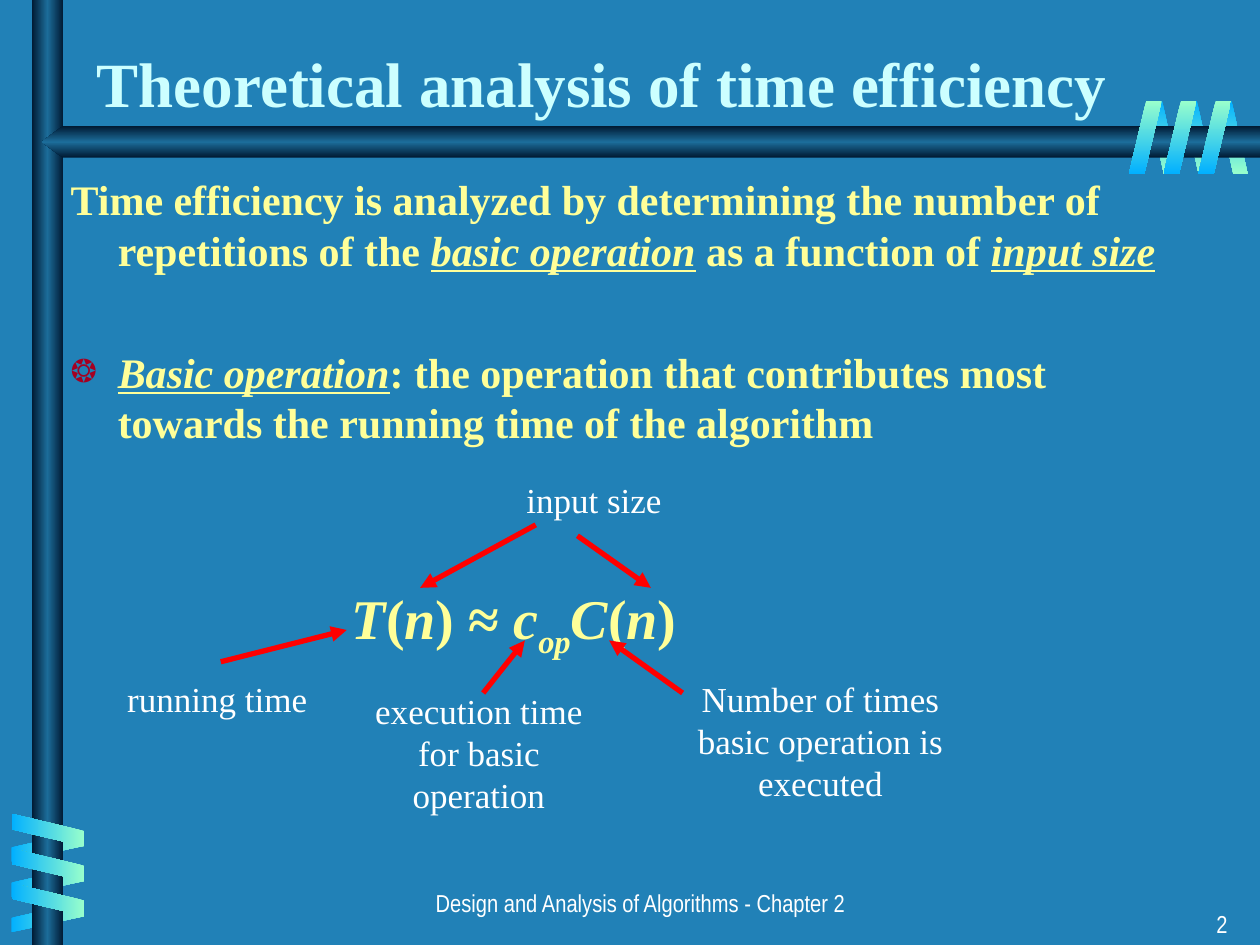
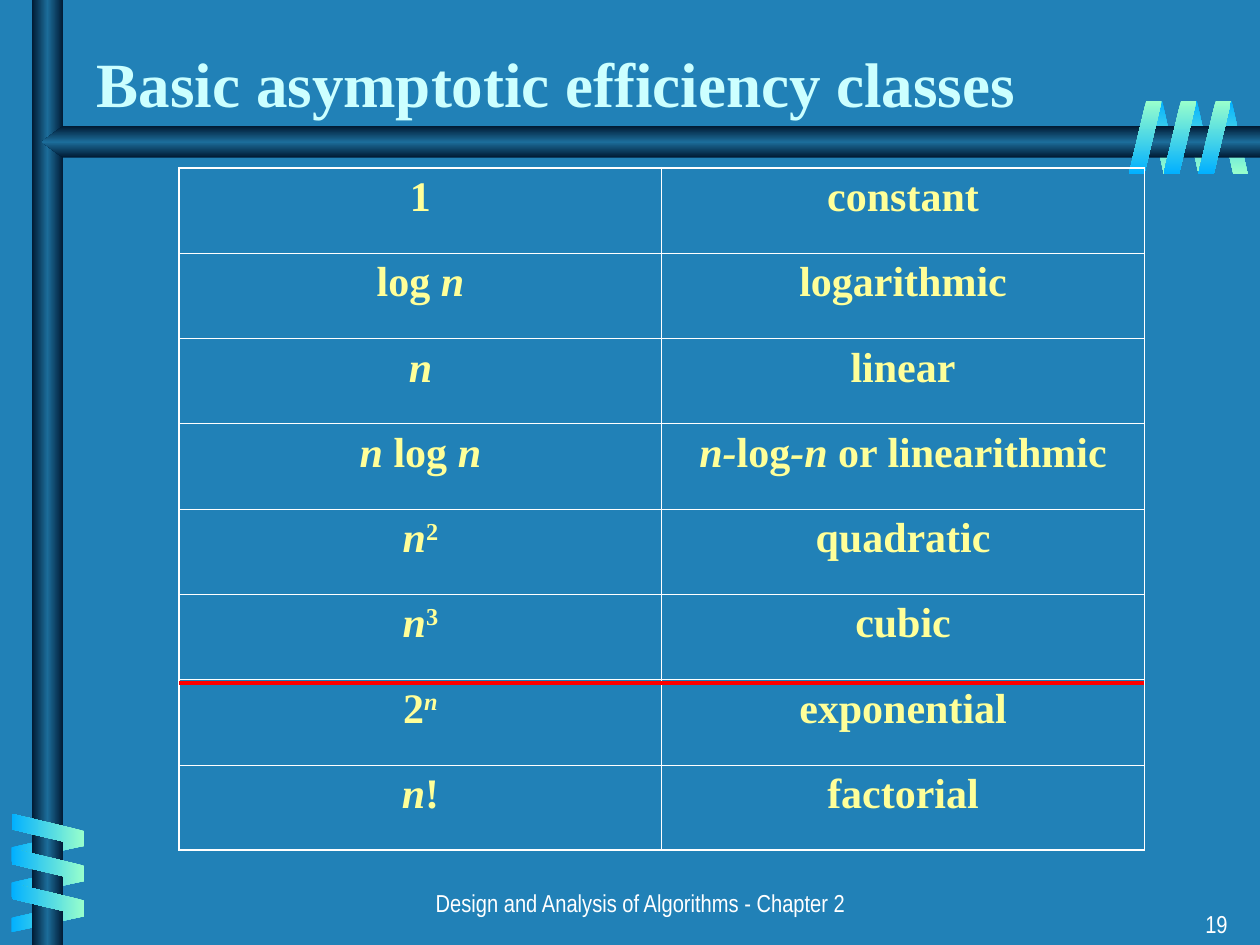
from pptx import Presentation
from pptx import util as u
from pptx.dml.color import RGBColor
from pptx.enum import shapes, text
from pptx.oxml import parse_xml
from pptx.oxml.ns import nsdecls, qn

# ---- Shared look ----
COLOURS = {
    "background": "2181B7", "title": "CCFFFF", "body": "FFFF99", "label": "FFFFFF",
    "bullet": "A50021", "arrow": "FF0000", "sky": "01B0FF", "mint": "99FFCC",
    "navy": "001932", "steel": "1C6D9A",
}
SERIF, NARROW = "Times New Roman", "Arial Narrow"
FOOTER = "Design and Analysis of Algorithms - Chapter 2"
BAR_GRADIENT = ["navy", "steel", "navy"]
BAR_OUTLINE = [(25.4, 2.54), (1.27, 2.54), (0.84, 2.86), (1.27, 3.18), (25.4, 3.18)]

# Ribbon coils: left, top, width, step x, step y, rotation, flipped, gradient, angle
COILS_BEHIND = [
    (23.14, 2.03, 0.61, 0.7, 0, 180, True, ["sky", "mint"], 90),
    (0.66, 16.33, 0.61, 0, 0.71, 90, True, ["sky", "mint"], 180),
]
COILS_IN_FRONT = [
    (0.64, 16, 0.66, 0, 0.7, 270, False, ["mint", "sky"], 180),
    (22.76, 2.03, 0.66, 0.7, 0, 0, False, ["mint", "sky"], 90),
]

# ---- Slide content; a run is (text, style), i = italic, u = underline ----
EFFICIENCY_TITLE = "Theoretical analysis of time efficiency"
# Paragraphs: space before, left indent, first line, size, bullet, runs
EFFICIENCY_BODY = [
    (6, 0.95, -0.95, 24, None, [
        ("Time efficiency is analyzed by determining the number of repetitions of the ", ""),
        ("basic operation", "iu"), (" as a function of ", ""), ("input size", "iu")]),
    (41, 0.95, -0.95, 24, "❂", [
        ("Basic operation", "iu"),
        (": the operation that contributes most towards the running time of the algorithm", "")]),
    (78, 5.67, 0, 32, None, [
        ("T", "i"), ("(", ""), ("n", "i"), (") ≈ ", ""), ("c", "i"), ("op", "i_"),
        ("C", "i"), ("(", ""), ("n", "i"), (")", "")]),
]
# Labels: box, wrapped, lines
FORMULA_LABELS = [
    ((2.31, 13.54, 4.14, 1.12), False, ["running time"]),
    ((6.76, 13.77, 5.79, 1.96), False, ["execution time", "for basic operation"]),
    ((13.34, 13.54, 6.4, 2.79), True, ["Number of times basic operation is executed"]),
    ((10.36, 9.53, 3.23, 1.12), False, ["input size"]),
]
FORMULA_ARROWS = [
    ((4.45, 13.34), (6.99, 12.7)),
    ((9.74, 13.97), (10.58, 12.91)),
    ((13.76, 13.97), (12.28, 12.91)),
    ((11.64, 10.8), (13.12, 11.85)),
    ((10.8, 10.58), (8.47, 11.85)),
]

CLASSES_TITLE = "Basic asymptotic efficiency classes"
CLASSES = [
    ([("1", "")], [("constant", "")]),
    ([("log ", ""), ("n", "i")], [("logarithmic", "")]),
    ([("n", "i")], [("linear", "")]),
    ([("n ", "i"), ("log ", ""), ("n", "i")],
     [("n-", "i"), ("log", ""), ("-n ", "i"), ("or linearithmic", "")]),
    ([("n", "i"), ("2", "^")], [("quadratic", "")]),
    ([("n", "i"), ("3", "^")], [("cubic", "")]),
    ([("2", ""), ("n", "i^")], [("exponential", "")]),
    ([("n", "i"), ("!", "")], [("factorial", "")]),
]
TABLE_LEFT, TABLE_TOP, COLUMN_WIDTH, ROW_HEIGHT = 3.61, 3.38, 9.73, 1.72
TRACTABLE_LIMIT = 13.76


def rgb(name):
    return RGBColor.from_string(COLOURS[name])


def cm(*lengths):
    return [u.Cm(length) for length in lengths]


# ---- Text ----
def add_runs(paragraph, runs, size, colour, bold=False, font=SERIF):
    for words, style in runs:
        run = paragraph.add_run()
        run.text = words
        run.font.name, run.font.size = font, u.Pt(size)
        run.font.bold, run.font.italic = bold, "i" in style
        run.font.underline = "u" in style
        run.font.color.rgb = rgb(colour)
        for mark, offset in (("_", "-25000"), ("^", "30000")):
            if mark in style:
                run.font._element.set("baseline", offset)


def next_paragraph(frame, index):
    return frame.add_paragraph() if index else frame.paragraphs[0]


def place(shape, left, top, width, height):
    shape.left, shape.top, shape.width, shape.height = cm(left, top, width, height)


def set_bullet(paragraph, left, first_line, bullet):
    properties = paragraph._p.get_or_add_pPr()
    properties.set("marL", str(u.Cm(left)))
    properties.set("indent", str(u.Cm(first_line)))
    parts = ["<a:buNone {}/>"]
    if bullet:
        parts = ['<a:buClr {}><a:srgbClr val="' + COLOURS["bullet"] + '"/></a:buClr>',
                 '<a:buSzPct {} val="75000"/>', '<a:buChar {} char="' + bullet + '"/>']
    for part in parts:
        properties.append(parse_xml(part.format(nsdecls("a"))))


def add_label(slide, box, lines, size=20, font=SERIF, align=text.PP_ALIGN.CENTER,
              wrap=True, grow=False, space_before=0):
    frame = slide.shapes.add_textbox(*cm(*box)).text_frame
    frame.word_wrap = wrap
    frame.auto_size = text.MSO_AUTO_SIZE.SHAPE_TO_FIT_TEXT if grow else text.MSO_AUTO_SIZE.NONE
    for index, line in enumerate(lines):
        paragraph = next_paragraph(frame, index)
        paragraph.alignment = align
        paragraph.space_before = u.Pt(space_before)
        add_runs(paragraph, [(line, "")], size, "label", font=font)


# ---- Shapes and lines ----
def fill_gradient(shape, names, angle):
    shape.shadow.inherit = False
    shape.line.fill.background()
    shape.fill.gradient()
    stops = "".join(
        f'<a:gs pos="{100000 * index // (len(names) - 1)}">'
        f'<a:srgbClr val="{COLOURS[name]}"/></a:gs>' for index, name in enumerate(names))
    gradient = parse_xml(
        f'<a:gradFill {nsdecls("a")} rotWithShape="0"><a:gsLst>{stops}</a:gsLst>'
        f'<a:lin ang="{angle * 60000}" scaled="1"/></a:gradFill>')
    properties = shape.element.spPr
    properties.replace(properties.find(qn("a:gradFill")), gradient)


def add_line(slide, start, end, width, arrow=False):
    line = slide.shapes.add_connector(shapes.MSO_CONNECTOR.STRAIGHT, *cm(*start, *end))
    line.line.color.rgb, line.line.width = rgb("arrow"), u.Pt(width)
    properties = line.element.spPr
    if arrow:
        properties.find(qn("a:ln")).append(
            parse_xml(f'<a:tailEnd {nsdecls("a")} type="triangle"/>'))
    properties.append(parse_xml(f'<a:effectLst {nsdecls("a")}/>'))


def add_coils(slide, coils):
    for left, top, width, step_x, step_y, rotation, flipped, names, angle in coils:
        for turn in range(3):
            coil = slide.shapes.add_shape(
                shapes.MSO_SHAPE.PARALLELOGRAM,
                *cm(left + turn * step_x, top + turn * step_y, width, 1.47))
            coil.adjustments[0] = 0.53
            coil.rotation = rotation
            if flipped:
                coil.element.spPr.xfrm.set("flipH", "1")
            fill_gradient(coil, names, angle)


def decorate_master(master, slide):
    """Draw the bars and coils on an empty slide, then move them to the master."""
    master.background.fill.solid()
    master.background.fill.fore_color.rgb = rgb("background")
    placeholders = len(slide.shapes)
    add_coils(slide, COILS_BEHIND)
    pole = slide.shapes.add_shape(shapes.MSO_SHAPE.RECTANGLE, *cm(0.64, 0, 0.64, 19.05))
    fill_gradient(pole, BAR_GRADIENT, 180)
    corners = [cm(*corner) for corner in BAR_OUTLINE]
    builder = slide.shapes.build_freeform(*corners[0])
    builder.add_line_segments(corners[1:], close=True)
    fill_gradient(builder.convert_to_shape(), BAR_GRADIENT, 90)
    add_coils(slide, COILS_IN_FRONT)
    for number, shape in enumerate(list(slide.shapes)[placeholders:], 100):
        shape.element.nvSpPr.cNvPr.set("id", str(number))
        master.shapes.element.append(shape.element)


def fill_title(slide, title):
    place(slide.shapes.title, 1.7, 0.64, 21.08, 1.91)
    frame = slide.shapes.title.text_frame
    frame.vertical_anchor = text.MSO_ANCHOR.BOTTOM
    frame.auto_size = text.MSO_AUTO_SIZE.NONE
    frame.paragraphs[0].alignment = text.PP_ALIGN.LEFT
    add_runs(frame.paragraphs[0], [(title, "")], 36, "title", bold=True)


def add_footer(slide, number):
    add_label(slide, (5.51, 17.78, 14.81, 0.85), [FOOTER], 14, NARROW, space_before=8.8)
    add_label(slide, (19.71, 18.2, 5.29, 0.85), [number], 14, NARROW,
              text.PP_ALIGN.RIGHT, space_before=8.8)


# ---- Slides ----
def build_efficiency(slide):
    fill_title(slide, EFFICIENCY_TITLE)
    body = slide.placeholders[1]
    place(body, 1.17, 3.38, 23.06, 13.61)
    frame = body.text_frame
    frame.auto_size = text.MSO_AUTO_SIZE.NONE
    for index, (space, left, first_line, size, bullet, runs) in enumerate(EFFICIENCY_BODY):
        paragraph = next_paragraph(frame, index)
        paragraph.space_before = u.Pt(space)
        set_bullet(paragraph, left, first_line, bullet)
        add_runs(paragraph, runs, size, "body", bold=True)
    for box, wrap, lines in FORMULA_LABELS:
        add_label(slide, box, lines, wrap=wrap, grow=True)
    for start, end in FORMULA_ARROWS:
        add_line(slide, start, end, 3, arrow=True)
    add_footer(slide, "2")


def set_borders(cell, outer_sides):
    for side in "LRTB":
        width = u.Pt(1.08 if side in outer_sides else 0.45)
        cell._tc.get_or_add_tcPr().append(parse_xml(
            f'<a:ln{side} {nsdecls("a")} w="{width}"><a:solidFill>'
            f'<a:srgbClr val="{COLOURS["label"]}"/></a:solidFill></a:ln{side}>'))


def build_classes(slide):
    fill_title(slide, CLASSES_TITLE)
    width, height = 2 * COLUMN_WIDTH, len(CLASSES) * ROW_HEIGHT
    table = slide.shapes.add_table(
        len(CLASSES), 2, *cm(TABLE_LEFT, TABLE_TOP, width, height)).table
    table.first_row = table.horz_banding = False
    for row, entries in enumerate(CLASSES):
        for column, runs in enumerate(entries):
            cell = table.cell(row, column)
            outer = "LR"[column] + {0: "T", len(CLASSES) - 1: "B"}.get(row, "")
            set_borders(cell, outer)
            cell.fill.background()
            paragraph = cell.text_frame.paragraphs[0]
            paragraph.alignment = text.PP_ALIGN.CENTER
            paragraph.space_before = u.Pt(6)
            add_runs(paragraph, runs, 24, "body", bold=True)
    add_line(slide, (TABLE_LEFT, TRACTABLE_LIMIT),
             (TABLE_LEFT + width, TRACTABLE_LIMIT), 2.25)
    add_footer(slide, "19")


def main():
    presentation = Presentation()
    presentation.slide_width, presentation.slide_height = cm(25.4, 19.05)
    layouts = presentation.slide_layouts
    efficiency = presentation.slides.add_slide(layouts.get_by_name("Title and Content"))
    decorate_master(presentation.slide_master, efficiency)
    build_efficiency(efficiency)
    build_classes(presentation.slides.add_slide(layouts.get_by_name("Title Only")))
    presentation.save("out.pptx")


if __name__ == "__main__":
    main()
